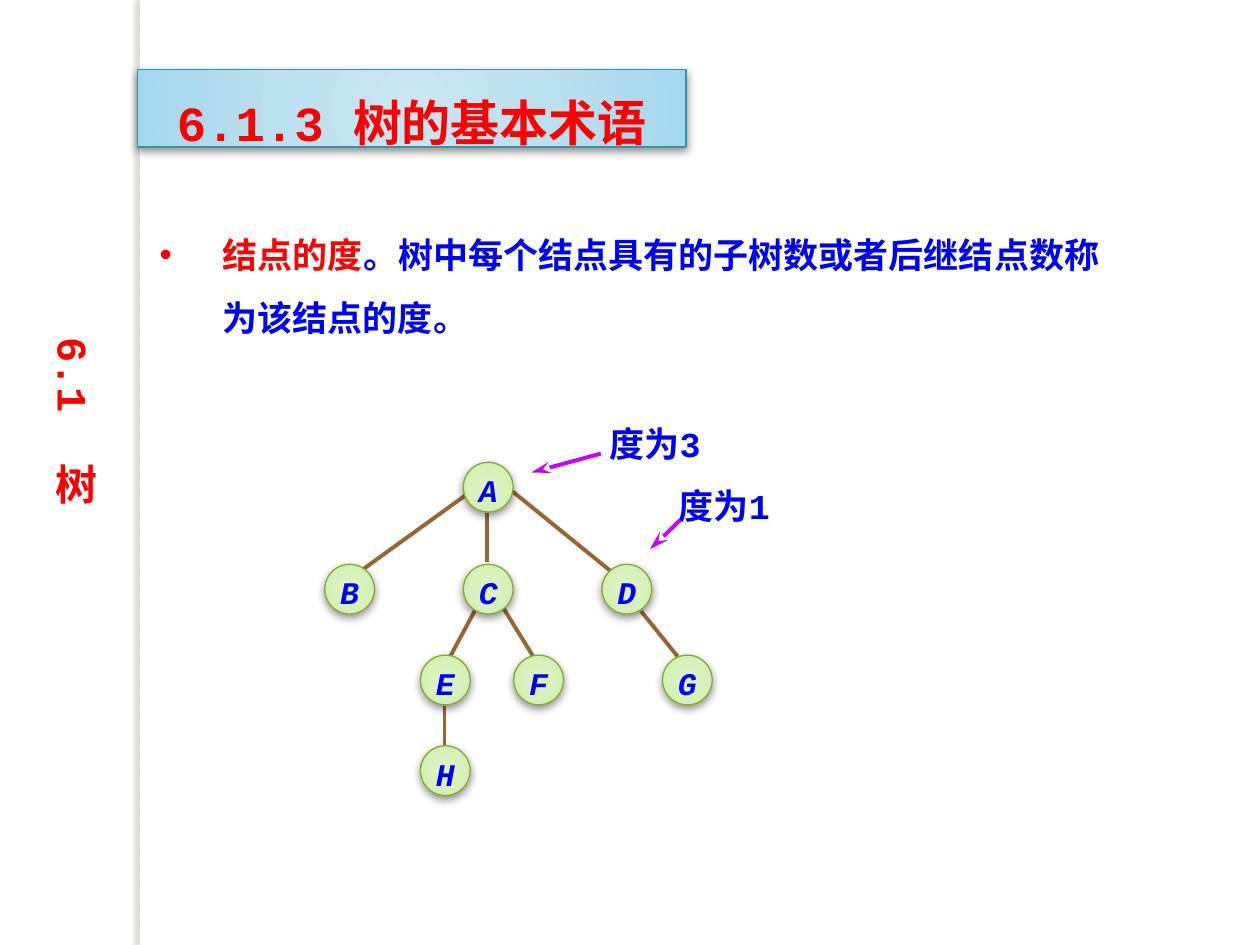
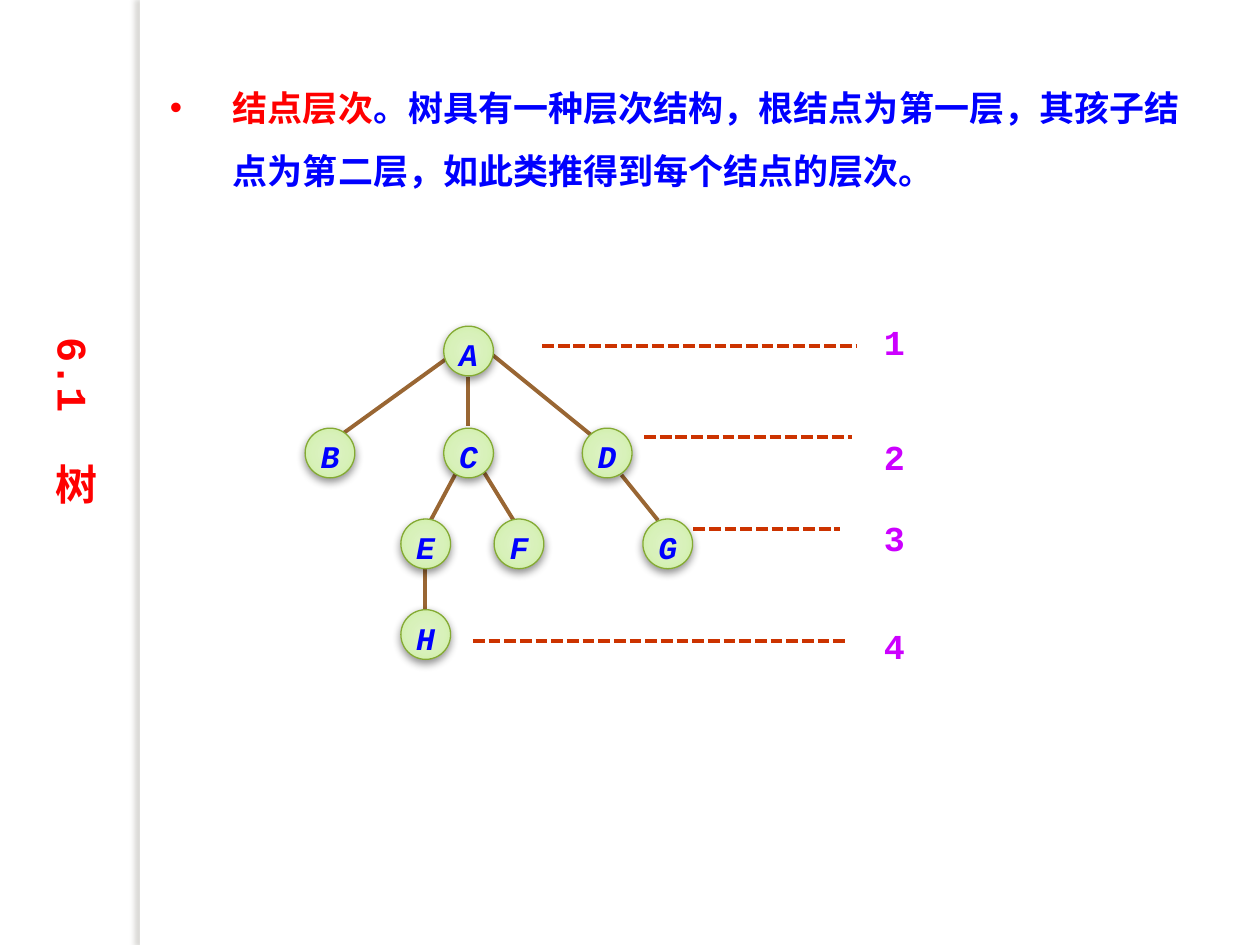
import pptx
import pptx.util
import pptx.dml.color
import pptx.enum.dml
import pptx.enum.shapes
import pptx.enum.text
import pptx.oxml
import pptx.oxml.ns

Pt = pptx.util.Pt
qn = pptx.oxml.ns.qn
SHAPE = pptx.enum.shapes.MSO_SHAPE
ALIGN = pptx.enum.text.PP_ALIGN
ANCHOR = pptx.enum.text.MSO_ANCHOR
NAMESPACE = pptx.oxml.ns.nsdecls("a")

COLORS = {
    "white": "FFFFFF", "term": "FF0000", "body": "0000FF", "accent": "CC00FF",
    "edge": "996633", "level": "CC3300", "title_line": "3891A7",
    "node_line": "84AA33", "band_shadow": "736F63", "shadow": "000000",
}
TITLE_STOPS = {0: "C9E6F2", 50: "BBE0EF", 97: "A4D8ED", 100: "9BD7EE"}
NODE_STOPS = {0: "DFF3C7", 50: "D8F1BA", 97: "CDEFA2", 100: "CAF199"}

# Text formats
MONO, SANS = "Courier New", "Noto Sans CJK SC"
TITLE = {"name": MONO, "size": Pt(28), "bold": True, "color": "term"}
SECTION = {**TITLE, "size": Pt(24)}
BODY = {**TITLE, "size": Pt(20), "color": "body"}
TERM = {**BODY, "name": SANS, "color": "term"}
LEVEL = {**BODY, "color": "accent"}
NODE = {**BODY, "size": Pt(18), "italic": True}

# Tree geometry, relative to the top left of the tree
NODE_SIZE = 28.4
NODES = {
    "A": (79.2, 0), "B": (0, 58.3), "C": (79.2, 58.3), "D": (158.4, 58.3),
    "E": (54.7, 110.2), "F": (108, 110.2), "G": (193, 110.2), "H": (54.7, 162),
}
EDGES = [
    (107.3, 16.6, 164.9, 63.4), (80.6, 18.7, 18.7, 63.4),
    (92.9, 28.8, 92.9, 56.9), (86.4, 83.5, 69.8, 114.5),
    (102.2, 83.5, 119.5, 111.6), (180.7, 85, 201.6, 110.9),
    (68.4, 139, 68.4, 162),
]


def rgb(name):
    return pptx.dml.color.RGBColor.from_string(COLORS[name])


def points(*lengths):
    return [Pt(length) for length in lengths]


def add_span(para, text, style):
    span = para.add_run()
    span.text = text
    for key, value in style.items():
        if key == "color":
            span.font.color.rgb = rgb(value)
        else:
            setattr(span.font, key, value)
    return span


def write(shape, text, style, **formats):
    para = shape.text_frame.paragraphs[0]
    for key, value in {"alignment": ALIGN.CENTER, **formats}.items():
        setattr(para, key, value)
    add_span(para, text, style)


def add_text_box(page, box):
    shape = page.shapes.add_textbox(*points(*box))
    shape.text_frame.word_wrap = True
    return shape


def add_shadow(shape, color, opacity, blur, distance, angle):
    shape.shadow.inherit = False
    effects = shape._element.spPr.find(qn("a:effectLst"))
    effects.append(pptx.oxml.parse_xml(
        f'<a:outerShdw {NAMESPACE} blurRad="{Pt(blur)}" dist="{Pt(distance)}" '
        f'dir="{angle * 60000}" rotWithShape="0"><a:srgbClr val="{COLORS[color]}">'
        f'<a:alpha val="{opacity * 1000}"/></a:srgbClr></a:outerShdw>'))


def add_glossy_shape(shapes, kind, box, stops, outline):
    """Add a shape with a radial gradient, a thin outline and a shadow."""
    shape = shapes.add_shape(kind, *points(*box))
    stop_xml = "".join(f'<a:gs pos="{place * 1000}"><a:srgbClr val="{color}"/></a:gs>'
                       for place, color in stops.items())
    shape._element.spPr.find(qn("a:prstGeom")).addnext(pptx.oxml.parse_xml(
        f'<a:gradFill {NAMESPACE} rotWithShape="1"><a:gsLst>{stop_xml}</a:gsLst>'
        '<a:path path="circle"><a:fillToRect l="50000" t="50000" r="50000" b="50000"/>'
        '</a:path></a:gradFill>'))
    shape.line.color.rgb = rgb(outline)
    shape.line.width = Pt(0.75)
    add_shadow(shape, "shadow", 43, 5, 2, 90)
    return shape


def add_line(shapes, ends, color, dash=None, arrow=False):
    line = shapes.add_connector(pptx.enum.shapes.MSO_CONNECTOR.STRAIGHT, *points(*ends))
    line.line.color.rgb = rgb(color)
    line.line.width = Pt(2.25)
    if dash:
        line.line.dash_style = dash
    if arrow:
        line.line._get_or_add_ln().append(pptx.oxml.parse_xml(
            f'<a:tailEnd {NAMESPACE} type="stealth" w="med" len="lg"/>'))
    line._element.spPr.append(pptx.oxml.parse_xml(f'<a:effectLst {NAMESPACE}/>'))


def add_side_band(page, box):
    """Add the white strip with its shadow and the vertical section name."""
    left, top, width, height = box
    strip = page.shapes.add_shape(
        SHAPE.RECTANGLE, *points(left + width - 5.8, top, 5.8, height))
    strip.fill.solid()
    strip.fill.fore_color.rgb = rgb("white")
    strip.line.fill.background()
    add_shadow(strip, "band_shadow", 25, 3, 3, 180)

    label = add_text_box(page, (left + 16.6, top + 185.8, 43.9, 129.6))
    label.text_frame._txBody.bodyPr.set("vert", "eaVert")
    para = label.text_frame.paragraphs[0]
    add_span(para, "6.1", SECTION)
    gap = add_span(para, " ", SECTION)
    gap.font._element.set("spc", "1440")
    add_span(para, "树", SECTION)


def add_title(page, box, text):
    banner = add_glossy_shape(page.shapes, SHAPE.RECTANGLE, box, TITLE_STOPS, "title_line")
    banner.text_frame.word_wrap = True
    banner.text_frame.vertical_anchor = ANCHOR.TOP
    write(banner, text, TITLE, line_spacing=Pt(43.4))


def add_definition(page, box, term, meaning):
    """Add a bulleted paragraph that starts with the term in red."""
    para = add_text_box(page, box).text_frame.paragraphs[0]
    settings = para._p.get_or_add_pPr()
    settings.set("marL", str(Pt(36)))
    settings.set("indent", str(Pt(-36)))
    settings.append(pptx.oxml.parse_xml(f'<a:buFont {NAMESPACE} typeface="Arial"/>'))
    settings.append(pptx.oxml.parse_xml(f'<a:buChar {NAMESPACE} char="•"/>'))
    para.line_spacing = Pt(36)
    add_span(para, term, TERM)
    add_span(para, meaning, BODY)


def add_label(page, box, text, style):
    write(add_text_box(page, box), text, style, line_spacing=Pt(26))


def add_tree(page, left, top):
    tree = page.shapes.add_group_shape()
    for x1, y1, x2, y2 in EDGES:
        add_line(tree.shapes, (left + x1, top + y1, left + x2, top + y2), "edge")
    for name, (x, y) in NODES.items():
        node = add_glossy_shape(tree.shapes, SHAPE.OVAL,
                                (left + x, top + y, NODE_SIZE, NODE_SIZE),
                                NODE_STOPS, "node_line")
        node.text_frame.word_wrap = False
        node.text_frame.vertical_anchor = ANCHOR.MIDDLE
        write(node, name, NODE, line_spacing=Pt(25))


def add_degree_figure(page, left, top):
    """Add the tree with arrows that give the degree of two nodes."""
    for x, y, text in [(146.2, -28.1, "度为3"), (185.8, 7.2, "度为1")]:
        add_label(page, (left + x, top + y, 85, 31), text, BODY)
    for x1, y1, x2, y2 in [(157.7, -5, 118.1, 5.8), (203, 33.1, 185.8, 49.7)]:
        add_line(page.shapes, (left + x1, top + y1, left + x2, top + y2),
                 "accent", arrow=True)
    add_tree(page, left, top)


def add_level_figure(page, left, top):
    """Add the tree with a dashed line and a number for each level."""
    levels = [(135.4, 315.4, 11.5, -8.6), (193.7, 312.5, 63.4, 56.9),
              (221.8, 305.8, 115.9, 103), (95.8, 309.6, 180, 164.9)]
    for number, (start, end, line_y, label_y) in enumerate(levels, 1):
        add_label(page, (left + 322.6, top + label_y, 28.1, 31), str(number), LEVEL)
        add_line(page.shapes, (left + start, top + line_y, left + end, top + line_y),
                 "level", dash=pptx.enum.dml.MSO_LINE.SQUARE_DOT)
    add_tree(page, left, top)


def add_page(deck):
    page = deck.slides.add_slide(deck.slide_layouts[6])
    add_side_band(page, (0, 0, 85.7, 540))
    return page


def main():
    deck = pptx.Presentation()
    deck.slide_width, deck.slide_height = points(720, 540)

    # Degree of a node
    page = add_page(deck)
    add_title(page, (78.5, 39.6, 313.6, 44.4), "6.1.3 树的基本术语")
    add_definition(page, (84.2, 118.1, 562.3, 75.6), "结点的度",
                   "。树中每个结点具有的子树数或者后继结点数称为该结点的度。")
    add_degree_figure(page, 185.6, 264.2)

    # Level of a node
    page = add_page(deck)
    add_definition(page, (90, 33.8, 596.2, 79.9), "结点层次",
                   "。树具有一种层次结构，根结点为第一层，其孩子结点为第二层，"
                   "如此类推得到每个结点的层次。")
    add_level_figure(page, 174.4, 186.4)

    deck.save("out.pptx")


if __name__ == "__main__":
    main()
